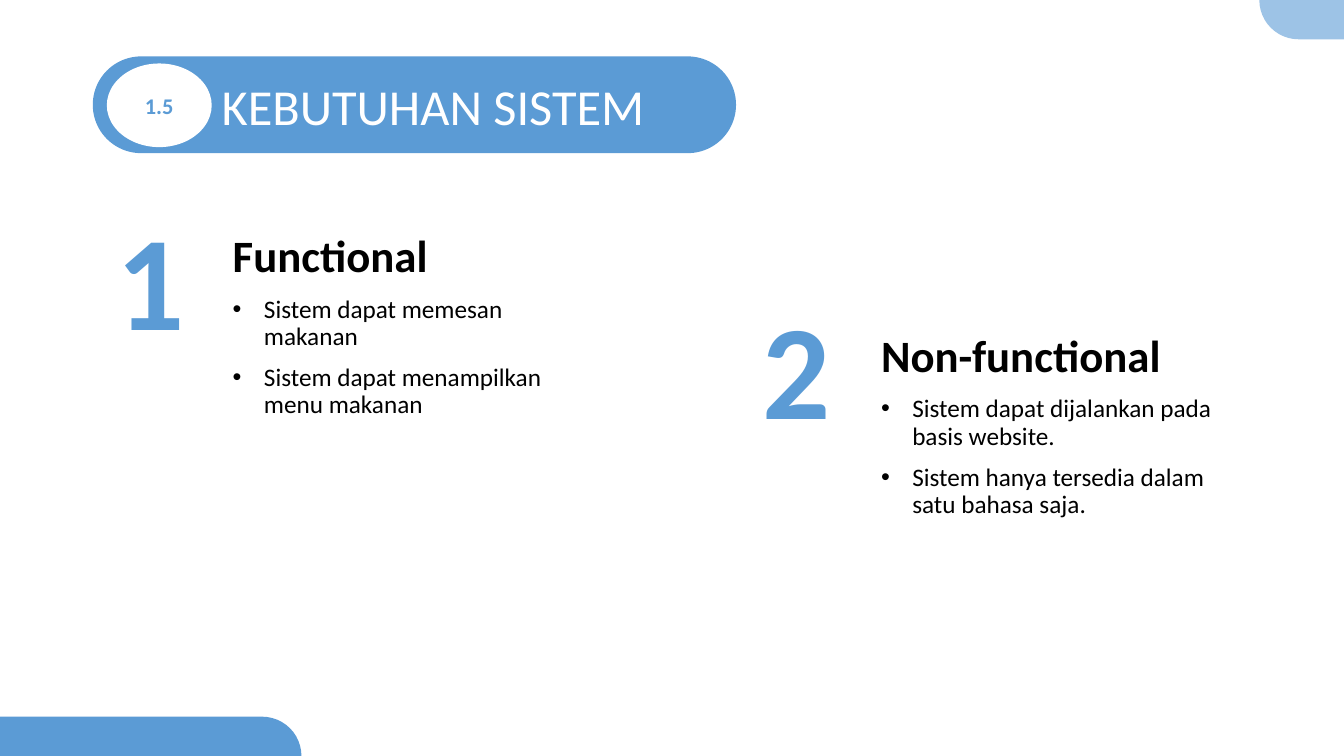
from dataclasses import dataclass

from lxml.etree import SubElement
from pptx import Presentation
from pptx.dml.color import RGBColor
from pptx.enum.shapes import MSO_SHAPE
from pptx.enum.text import MSO_ANCHOR, PP_ALIGN
from pptx.oxml.ns import qn
from pptx.shapes.autoshape import Shape
from pptx.slide import Slide
from pptx.text.text import TextFrame, _Paragraph
from pptx.util import Emu, Pt

PX = 9144
BLUE = "5B9BD5"
LIGHT_BLUE = "9DC3E6"
WHITE = "FFFFFF"
BLACK = "000000"
BULLET_INDENT = 31


@dataclass(frozen=True)
class Box:
    left: int
    top: int
    width: int
    height: int

    def emu(self) -> tuple[Emu, Emu, Emu, Emu]:
        return px(self.left), px(self.top), px(self.width), px(self.height)


@dataclass(frozen=True)
class Pill:
    box: Box
    fill: str


@dataclass(frozen=True)
class Requirement:
    number: str
    number_box: Box
    heading: str
    items: tuple[str, ...]
    text_box: Box


PILLS = (
    Pill(Box(-41, 711, 340, 78), BLUE),
    Pill(Box(92, 56, 638, 96), BLUE),
    Pill(Box(1249, -39, 135, 78), LIGHT_BLUE),
)
TITLE_BOX = Box(210, 69, 451, 78)
BADGE_BOX = Box(106, 63, 104, 83)
REQUIREMENTS = (
    Requirement(
        "1", Box(106, 190, 93, 177), "Functional",
        ("Sistem dapat memesan makanan", "Sistem dapat menampilkan menu makanan"),
        Box(221, 222, 369, 427),
    ),
    Requirement(
        "2", Box(746, 278, 96, 172), "Non-functional",
        ("Sistem dapat dijalankan pada basis website.",
         "Sistem hanya tersedia dalam satu bahasa saja."),
        Box(864, 321, 364, 353),
    ),
)


def px(length: int) -> Emu:
    return Emu(length * PX)


def color(value: str) -> RGBColor:
    return RGBColor.from_string(value)


def add_filled(slide: Slide, kind: MSO_SHAPE, box: Box, fill: str) -> Shape:
    shape = slide.shapes.add_shape(kind, *box.emu())
    shape.shadow.inherit = False
    shape.fill.solid()
    shape.fill.fore_color.rgb = color(fill)
    shape.line.fill.background()
    return shape


def add_text_frame(slide: Slide, box: Box) -> TextFrame:
    frame = slide.shapes.add_textbox(*box.emu()).text_frame
    frame.word_wrap = True
    return frame


def write(paragraph: _Paragraph, text: str, size: int, ink: str, bold: bool = False) -> None:
    paragraph.text = text
    paragraph.font.name = "Calibri"
    paragraph.font.size = Pt(size)
    paragraph.font.bold = bold
    paragraph.font.color.rgb = color(ink)


def add_bullet(paragraph: _Paragraph) -> None:
    properties = paragraph._p.get_or_add_pPr()
    properties.set("marL", str(px(BULLET_INDENT)))
    properties.set("indent", str(px(-BULLET_INDENT)))
    SubElement(properties, qn("a:buFont"), typeface="Arial")
    SubElement(properties, qn("a:buChar"), char="•")


def add_title(slide: Slide) -> None:
    frame = add_text_frame(slide, TITLE_BOX)
    frame.vertical_anchor = MSO_ANCHOR.MIDDLE
    paragraph = frame.paragraphs[0]
    paragraph.line_spacing = 0.9
    write(paragraph, "KEBUTUHAN SISTEM", 36, WHITE)


def add_badge(slide: Slide) -> None:
    frame = add_filled(slide, MSO_SHAPE.OVAL, BADGE_BOX, WHITE).text_frame
    frame.vertical_anchor = MSO_ANCHOR.MIDDLE
    paragraph = frame.paragraphs[0]
    paragraph.alignment = PP_ALIGN.CENTER
    write(paragraph, "1.5", 16, BLUE, bold=True)


def add_requirement(slide: Slide, requirement: Requirement) -> None:
    number = add_text_frame(slide, requirement.number_box).paragraphs[0]
    number.alignment = PP_ALIGN.JUSTIFY
    write(number, requirement.number, 96, BLUE, bold=True)

    frame = add_text_frame(slide, requirement.text_box)
    frame.margin_top = frame.margin_bottom = px(10)
    heading = frame.paragraphs[0]
    heading.line_spacing = 0.9
    write(heading, requirement.heading, 32, BLACK, bold=True)
    for item in requirement.items:
        paragraph = frame.add_paragraph()
        paragraph.line_spacing = 0.9
        paragraph.space_before = Pt(10)
        add_bullet(paragraph)
        write(paragraph, item, 18, BLACK)


def main() -> None:
    """Build the system requirements slide."""
    presentation = Presentation()
    presentation.slide_width = px(1333)
    presentation.slide_height = px(750)
    slide = presentation.slides.add_slide(presentation.slide_layouts[6])
    for pill in PILLS:
        shape = add_filled(slide, MSO_SHAPE.ROUNDED_RECTANGLE, pill.box, pill.fill)
        shape.adjustments[0] = 0.5
    add_title(slide)
    add_badge(slide)
    for requirement in REQUIREMENTS:
        add_requirement(slide, requirement)
    presentation.save("out.pptx")


if __name__ == "__main__":
    main()
